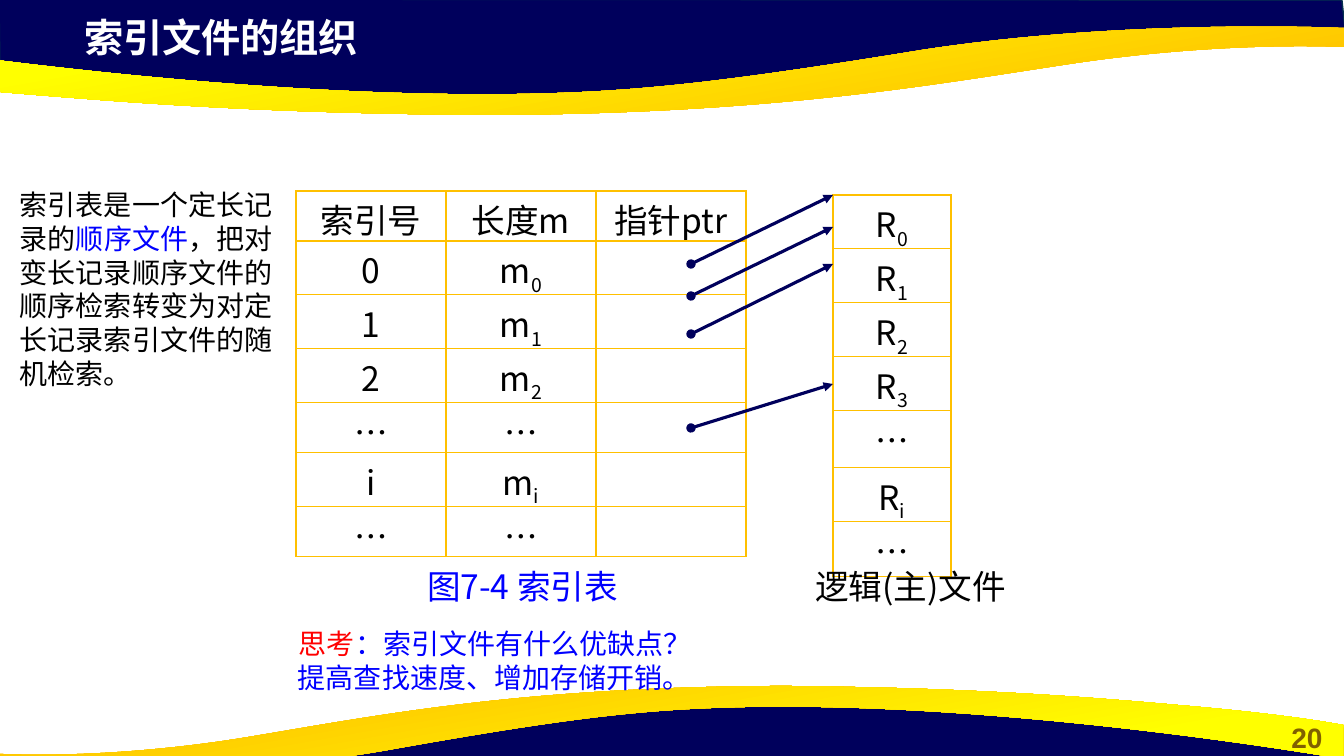
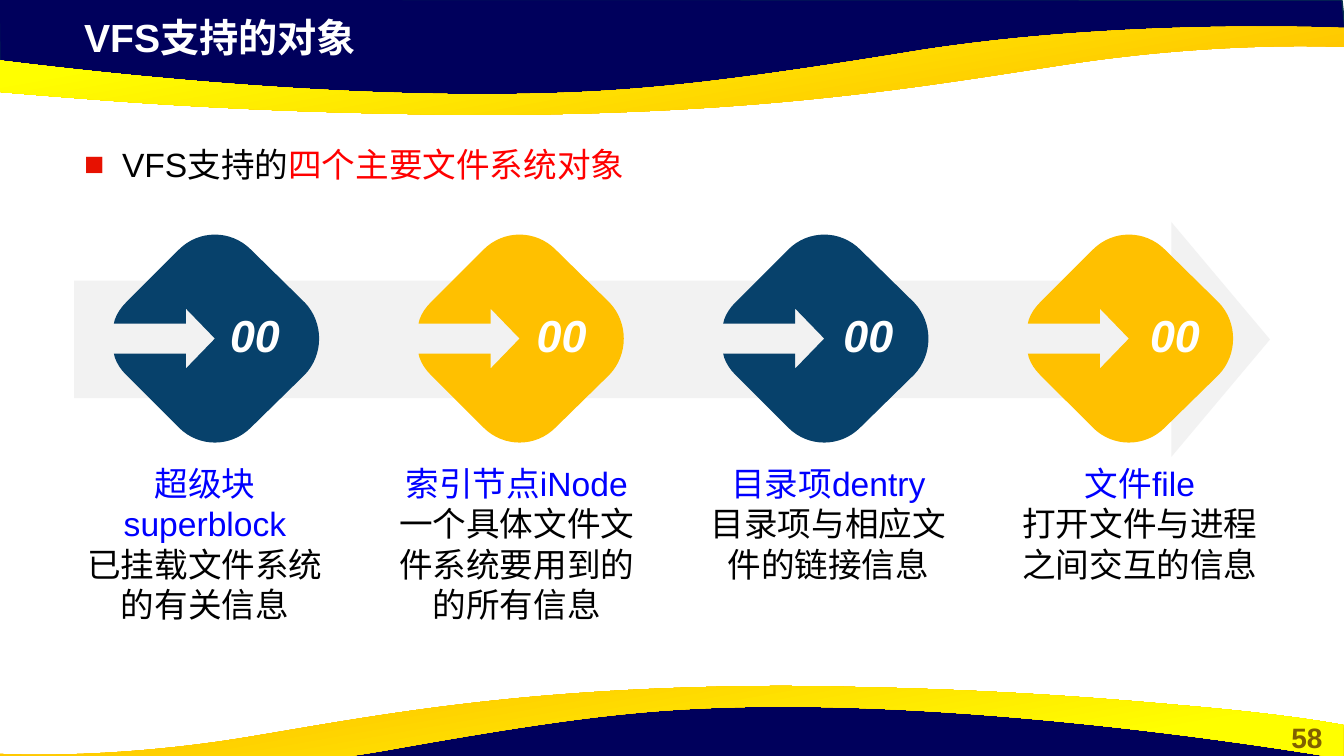
from math import sqrt

from pptx import Presentation
from pptx.dml.color import RGBColor
from pptx.enum.shapes import MSO_CONNECTOR, MSO_SHAPE
from pptx.enum.text import MSO_ANCHOR, MSO_AUTO_SIZE, PP_ALIGN
from pptx.oxml.ns import qn
from pptx.util import Pt
from lxml import etree

LEFT, CENTER = PP_ALIGN.LEFT, PP_ALIGN.CENTER
TOP, MIDDLE = MSO_ANCHOR.TOP, MSO_ANCHOR.MIDDLE
STRAIGHT = MSO_CONNECTOR.STRAIGHT
RIGHT_ARROW = MSO_SHAPE.RIGHT_ARROW
SCALE = 914400 / 100.8
SLIDE_W, SLIDE_H = 1344, 756


class Theme:
    navy, edge, gold, yellow = "00005C", "05304F", "FFC000", "FFFF00"
    black, white, blue, red = "000000", "FFFFFF", "0000FF", "FF0000"
    bullet, number, track, teal = "E71101", "806000", "F2F2F2", "07416B"
    latin, cjk = "Arial", "Noto Sans CJK SC"
    title, digits, body, small = 28, 32, 24, 20


# ---- Shared content: outlines hold points, or curves of three points
TITLE_BOX = (74, 8, 774, 57)
NUMBER_BOX = (1270, 716, 74, 44)
NAVY_BAND = [(-1, -1), (0, 71), (295, 103), (563, 101), (801, 89),
             (1024, 50), (1248, 33), (1346, 38), (1342, 0)]
GOLD_WAVE = [(487, 115), (447, 115, 404, 114, 359, 113),
             (208, 109, 111, 101, 36, 95), (-89, 85, -131, 76, -134, 76),
             (-134, 42, -134, 42, -134, 42), (-134, 42, 220, 99, 521, 94),
             (631, 92, 714, 84, 922, 50), (1130, 18, 1344, 28, 1344, 28),
             (1344, 32), (1344, 47), (1341, 47), (1315, 46, 1205, 43, 1063, 65),
             (925, 86, 768, 114, 487, 115)]

# ---- Index file content; "_" starts a subscript
INDEX_ROWS = [("索引号", "长度m", "指针ptr"), ("0", "m_0", ""), ("1", "m_1", ""),
              ("2", "m_2", ""), ("…", "…", ""), ("i", "m_i", ""), ("…", "…", "")]
INDEX_HEIGHTS = [50] * 7
RECORD_ROWS = [("R_0",), ("R_1",), ("R_2",), ("R_3",), ("…",), ("R_i",), ("…",)]
RECORD_HEIGHTS = [33, 33, 33, 33, 57, 33, 55]
POINTER_X, RECORD_X = 691, 833
POINTERS = [(264, 195), (296, 227), (334, 264), (428, 384)]
TABLE_CAPTIONS = [((798, 561, 225, 51), "逻辑(主)文件", Theme.black),
                  ((397, 561, 251, 51), "图7-4 索引表", Theme.blue)]
EXPLANATION = [("索引表是一个定长记录的", Theme.black), ("顺序文件", Theme.blue),
               ("，把对变长记录顺序文件的顺序检索转变为对定长记录索引文件的随机检索。", Theme.black)]
QUESTION = [((289, 622, 416, 44), [("思考", Theme.red), ("：索引文件有什么优缺点？", Theme.blue)]),
            ((288, 656, 416, 44), [("提高查找速度、增加存储开销。", Theme.blue)])]

# ---- VFS content
VFS_POINT = [("VFS支持的", Theme.black), ("四个主要文件系统对象", Theme.red)]
VFS_OBJECTS = [("超级块superblock", "已挂载文件系统的有关信息"),
               ("索引节点iNode", "一个具体文件文件系统要用到的的所有信息"),
               ("目录项dentry", "目录项与相应文件的链接信息"),
               ("文件file", "打开文件与进程之间交互的信息")]
DIAMOND = [(0, -104), (13, -104, 26, -99, 36, -89), (90, -36),
           (109, -16, 109, 16, 90, 36), (36, 89), (16, 109, -16, 109, -36, 89),
           (-89, 36), (-94, 31, -98, 25, -100, 19), (-101, 15), (-29, 15),
           (-29, 30), (0, 0), (-29, -30), (-29, -15), (-101, -15), (-100, -19),
           (-98, -25, -94, -31, -89, -36), (-36, -89), (-26, -99, -13, -104, 0, -104)]


def px(value):
    return round(value * SCALE)


def box(values):
    return [px(v) for v in values]


def rgb(code):
    return RGBColor.from_string(code)


def add(parent, tag, **attributes):
    return etree.SubElement(parent, qn(tag), attributes)


# ---- Text
def write(frame, paragraphs, size, align=LEFT, anchor=TOP, name=Theme.latin,
          bold=False, italic=False):
    """Each paragraph is a list of (text, colour) runs."""
    frame.vertical_anchor = anchor
    for index, runs in enumerate(paragraphs):
        paragraph = frame.add_paragraph() if index else frame.paragraphs[0]
        paragraph.alignment = align
        font = paragraph.font
        font.name, font.size = name, Pt(size)
        font.bold, font.italic = bold, italic
        font.color.rgb = rgb(runs[0][1])
        for text, color in runs:
            run = paragraph.add_run()
            run.text = text
            if color != runs[0][1]:
                run.font.color.rgb = rgb(color)


def add_text(slide, place, paragraphs, size, wrap=True, **style):
    frame = slide.shapes.add_textbox(*box(place)).text_frame
    frame.word_wrap = wrap
    write(frame, paragraphs, size, **style)


# ---- Outlines
def move_points(outline, rule):
    """Apply rule(x, y) to every point, control points included."""
    return [sum((rule(*part[i:i + 2]) for i in range(0, len(part), 2)), ())
            for part in outline]


def add_outline(slide, outline, color=None):
    parts = [box(part) for part in outline]
    builder = slide.shapes.build_freeform(*parts[0], scale=1.0)
    builder.add_line_segments([part[-2:] for part in parts[1:]], close=True)
    shape = builder.convert_to_shape()
    # Curved parts take the place of their straight segments
    segments = list(shape._element.iter(qn("a:lnTo")))
    for part, segment in zip(parts[1:], segments):
        if len(part) == 6:
            curve = etree.Element(qn("a:cubicBezTo"))
            for x, y in zip(part[::2], part[1::2]):
                add(curve, "a:pt", x=str(x - shape.left), y=str(y - shape.top))
            segment.getparent().replace(segment, curve)
    shape.shadow.inherit = False
    shape.line.fill.background()
    if color:
        shape.fill.solid()
        shape.fill.fore_color.rgb = rgb(color)
    return shape


def set_up_master(master, slide):
    """Draw the bands, the lower pair being the upper pair turned round."""
    shrink = SLIDE_W / (SLIDE_W + 134)
    low_navy = move_points(NAVY_BAND, lambda x, y: (x - 2, y + 697))
    low_wave = move_points(GOLD_WAVE, lambda x, y: (SLIDE_W - 1 - (x + 134) * shrink, 801 - y))
    bands = [(NAVY_BAND, 0, GOLD_WAVE, 100), (low_navy, 180, low_wave, 280)]
    parts = []
    for navy_outline, turn, wave, angle in bands:
        navy = add_outline(slide, navy_outline, Theme.navy)
        navy.rotation = turn
        navy.line.color.rgb = rgb(Theme.edge)
        navy.line.width = Pt(1)
        gold = add_outline(slide, wave)
        gold.fill.gradient()
        gold.fill.gradient_angle = angle
        stops = ((0.11, Theme.gold), (0.78, Theme.yellow))
        for stop, (position, color) in zip(gold.fill.gradient_stops, stops):
            stop.position = position
            stop.color.rgb = rgb(color)
        parts += [navy, gold]
    tree = master.shapes._spTree
    for index, part in enumerate(parts):
        part._element.nvSpPr.cNvPr.set("id", str(100 + index))
        tree.insert(2 + index, part._element)
    title = master.placeholders[0]
    title.left, title.top, title.width, title.height = box(TITLE_BOX)


def add_frame(slide, title, number):
    frame = slide.shapes.title.text_frame
    frame.auto_size = MSO_AUTO_SIZE.NONE
    write(frame, [[(title, Theme.white)]], Theme.title, anchor=MIDDLE, bold=True)
    add_text(slide, NUMBER_BOX, [[(number, Theme.number)]], Theme.small,
             align=CENTER, bold=True)


# ---- Tables and pointers
def fill_cell(cell, text):
    cell.fill.background()
    cell.margin_top = cell.margin_bottom = px(4)
    base, _, subscript = text.partition("_")
    cell.vertical_anchor = MIDDLE
    runs = [(part, Theme.black) for part in (base, subscript) if part]
    if runs:
        write(cell.text_frame, [runs], Theme.body, align=CENTER, anchor=MIDDLE, name=Theme.cjk)
    if subscript:
        cell.text_frame.paragraphs[0].runs[1]._r.get_or_add_rPr().set("baseline", "-25000")
    properties = cell._tc.get_or_add_tcPr()
    for index, side in enumerate(("a:lnL", "a:lnR", "a:lnT", "a:lnB")):
        border = etree.Element(qn(side), w=str(Pt(1)))
        add(add(border, "a:solidFill"), "a:srgbClr", val=Theme.gold)
        properties.insert(index, border)


def add_grid(slide, left, top, column_width, rows, heights):
    columns = len(rows[0])
    place = box((left, top, column_width * columns, sum(heights)))
    table = slide.shapes.add_table(len(rows), columns, *place).table
    table.first_row = table.horz_banding = False
    for column in table.columns:
        column.width = px(column_width)
    for r, (texts, height) in enumerate(zip(rows, heights)):
        table.rows[r].height = px(height)
        for c, text in enumerate(texts):
            fill_cell(table.cell(r, c), text)


def add_pointer(slide, start_y, end_y):
    ends = box((POINTER_X, start_y, RECORD_X, end_y))
    pointer = slide.shapes.add_connector(STRAIGHT, *ends)
    pointer.line.color.rgb = rgb(Theme.navy)
    pointer.line.width = Pt(2.25)
    line = pointer.line._get_or_add_ln()
    add(line, "a:headEnd", type="oval")
    add(line, "a:tailEnd", type="triangle")
    add(pointer._element.spPr, "a:effectLst")


# ---- Slides
def build_index_slide(slide):
    add_frame(slide, "索引文件的组织", "20")
    add_grid(slide, 296, 191, 150, INDEX_ROWS, INDEX_HEIGHTS)
    add_grid(slide, RECORD_X, 195, 118, RECORD_ROWS, RECORD_HEIGHTS)
    for place, caption, color in TABLE_CAPTIONS:
        add_text(slide, place, [[(caption, color)]], Theme.body, align=CENTER, name=Theme.cjk)
    for start_y, end_y in POINTERS:
        add_pointer(slide, start_y, end_y)
    add_text(slide, (10, 183, 279, 248), [EXPLANATION], Theme.small)
    for place, runs in QUESTION:
        add_text(slide, place, [runs], Theme.small, wrap=False)


def build_vfs_slide(slide):
    add_frame(slide, "VFS支持的对象", "58")

    # Bulleted statement
    body = slide.placeholders[1]
    body.left, body.top, body.width, body.height = box((74, 126, 1218, 57))
    body.text_frame.auto_size = MSO_AUTO_SIZE.NONE
    point = body.text_frame.paragraphs[0]
    properties = point._p.get_or_add_pPr()
    properties.set("marL", str(px(38)))
    properties.set("indent", str(-px(38)))
    add(add(properties, "a:buClr"), "a:srgbClr", val=Theme.bullet)
    add(properties, "a:buChar", char="■")
    point.line_spacing = 1.32
    point.space_before = Pt(0)
    write(body.text_frame, [VFS_POINT], Theme.body)

    # Track with one diamond, caption and number per object
    track = slide.shapes.add_shape(RIGHT_ARROW, *box((74, 222, 1196, 235)))
    track.adjustments[0], track.adjustments[1] = 0.5, 0.42
    track.shadow.inherit = False
    track.fill.solid()
    track.fill.fore_color.rgb = rgb(Theme.track)
    track.line.fill.background()
    gaps = len(VFS_OBJECTS) - 1
    for index in range(len(VFS_OBJECTS)):
        center = 215 + index * (1129 - 215) / gaps
        upright = move_points(DIAMOND, lambda x, y: (center + (x + y) / sqrt(2),
                                                     339 + (y - x) / sqrt(2)))
        diamond = add_outline(slide, upright, Theme.gold if index % 2 else Theme.teal)
        diamond.rotation = 45
    for index, (name, meaning) in enumerate(VFS_OBJECTS):
        left = 75 + index * (1010 - 75) / gaps
        add_text(slide, (left, 458, 260, 171),
                 [[(name, Theme.blue)], [(meaning, Theme.black)]], Theme.body, align=CENTER)
    for index in range(len(VFS_OBJECTS)):
        left = 216 + index * (1136 - 216) / gaps
        add_text(slide, (left, 297, 78, 75), [[("00", Theme.white)]],
                 Theme.digits, align=CENTER, anchor=MIDDLE, bold=True, italic=True)


def main():
    prs = Presentation()
    prs.slide_width, prs.slide_height = px(SLIDE_W), px(SLIDE_H)
    index_slide = prs.slides.add_slide(prs.slide_layouts[5])
    vfs_slide = prs.slides.add_slide(prs.slide_layouts[1])
    set_up_master(prs.slide_master, index_slide)
    build_index_slide(index_slide)
    build_vfs_slide(vfs_slide)
    prs.save("out.pptx")


if __name__ == "__main__":
    main()
